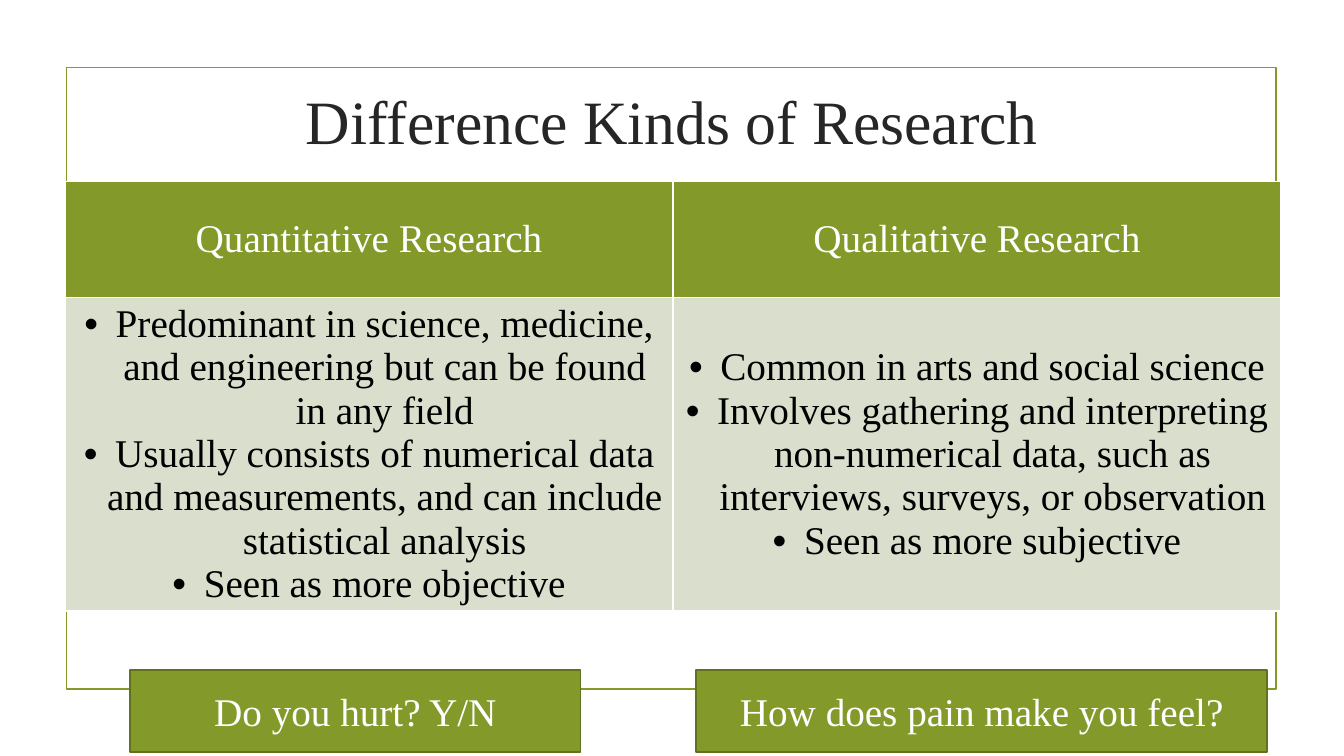
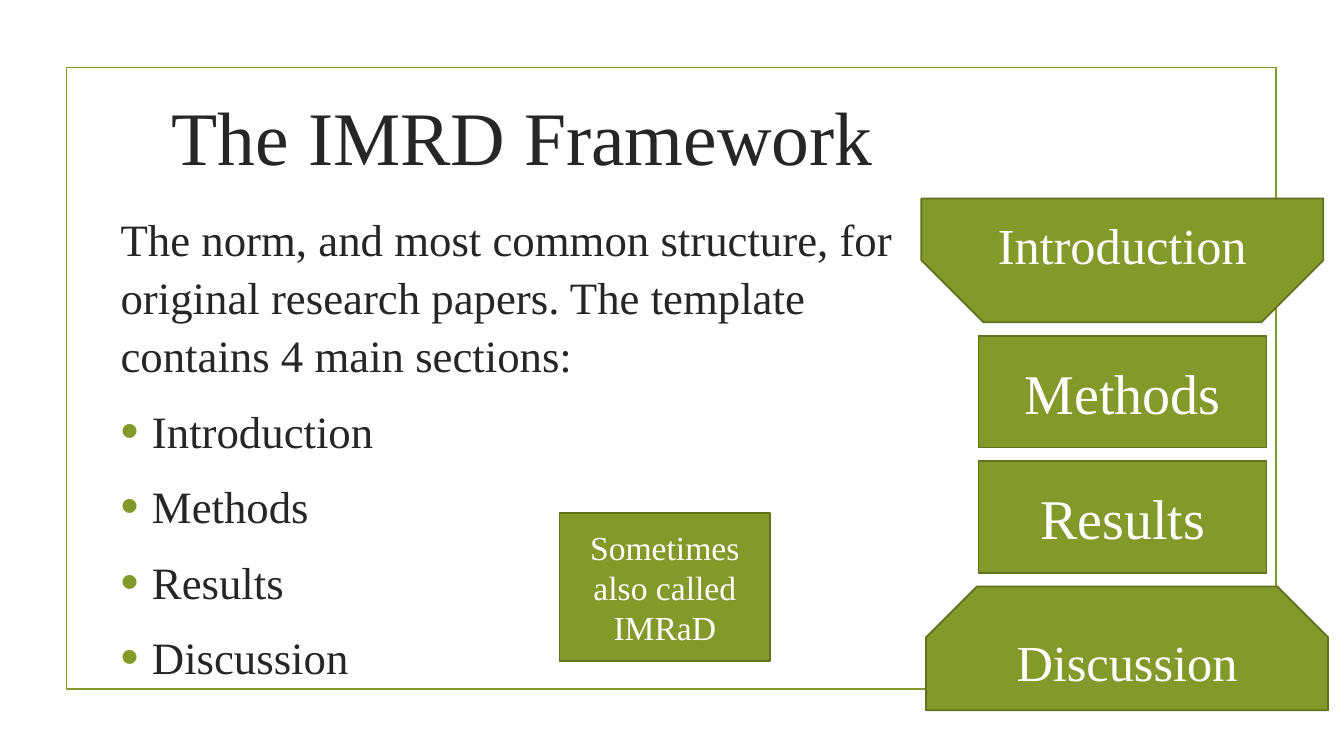
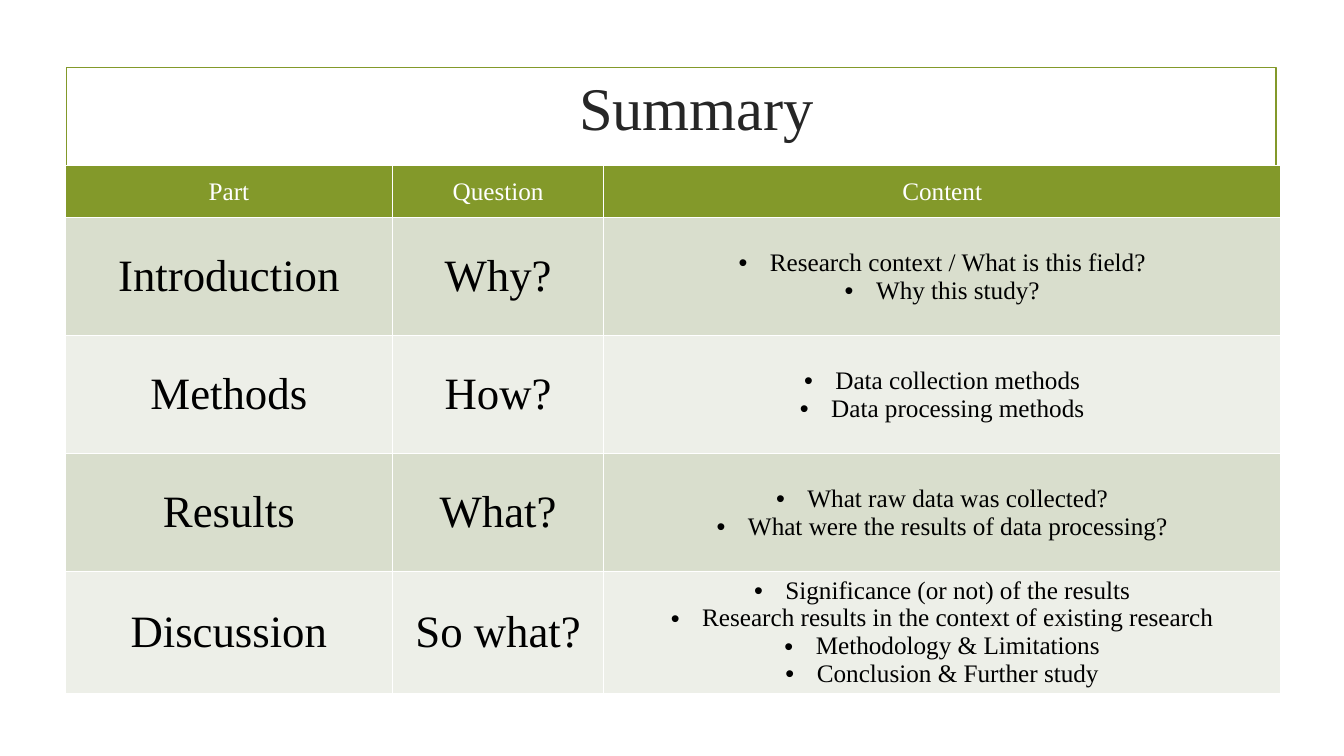
"""Build three slides on kinds of research and the IMRD framework."""
from lxml import etree
from pptx import Presentation
from pptx.dml.color import RGBColor
from pptx.enum import shapes, text
from pptx.oxml import ns
from pptx.util import Cm, Pt

GREEN = RGBColor(0x83, 0x99, 0x2A)
DARK_GREEN = RGBColor(0x61, 0x71, 0x1F)
BAND = RGBColor(0xD9, 0xDE, 0xCD)
LIGHT_BAND = RGBColor(0xED, 0xEF, 0xE8)
INK = RGBColor(0x26, 0x26, 0x26)
BLACK = RGBColor(0, 0, 0)
WHITE = RGBColor(0xFF, 0xFF, 0xFF)
FONT = "Times New Roman"
INDENT = Cm(0.79)
RECT = shapes.MSO_SHAPE.RECTANGLE
SNIPPED = shapes.MSO_SHAPE.SNIP_2_SAME_RECTANGLE
CENTER = text.PP_ALIGN.CENTER
MIDDLE = text.MSO_ANCHOR.MIDDLE


def set_all(obj, values):
    """Set attributes of an object from a dict."""
    for name, value in values.items():
        setattr(obj, name, value)


def add_xml(parent, tag, **attrs):
    """Append a DrawingML element and return it."""
    return etree.SubElement(parent, ns.qn(tag), attrs)


def place(sp, box):
    """Move and size a shape, with the box in centimetres."""
    names = ("left", "top", "width", "height")
    set_all(sp, dict(zip(names, map(Cm, box))))


def write(p, words, size, color, **layout):
    """Write one run in a paragraph with its paragraph format."""
    set_all(p, layout)
    r = p.add_run()
    r.text = words
    set_all(r.font, {"name": FONT, "size": Pt(size), "bold": False})
    r.font.color.rgb = color


def add_bullet(p, color=None, percent=100):
    """Give a paragraph a hanging round bullet."""
    pPr = p._p.get_or_add_pPr()
    pPr.set("marL", str(INDENT))
    pPr.set("indent", str(-INDENT))
    if color is not None:
        add_xml(add_xml(pPr, "a:buClr"), "a:srgbClr", val=str(color))
    add_xml(pPr, "a:buSzPct", val=str(percent * 1000))
    add_xml(pPr, "a:buFont", typeface="Arial")
    add_xml(pPr, "a:buChar", char="•")


def paragraphs(tf, count):
    """Return the given number of paragraphs of an empty text frame."""
    return [tf.paragraphs[0]] + [tf.add_paragraph() for _ in range(count - 1)]


def add_box(slide, box, words, size, kind=RECT, adjust=()):
    """Add a green shape with centred white text."""
    sp = slide.shapes.add_shape(kind, *map(Cm, box))
    sp.shadow.inherit = False
    for i, value in enumerate(adjust):
        sp.adjustments[i] = value
    sp.fill.solid()
    sp.fill.fore_color.rgb = GREEN
    sp.line.color.rgb = DARK_GREEN
    sp.line.width = Pt(1.25)
    set_all(sp.text_frame, {"word_wrap": True, "vertical_anchor": MIDDLE})
    write(sp.text_frame.paragraphs[0], words, size, WHITE, alignment=CENTER)


def add_frame(prs, slide):
    """Draw the thin green frame and move it to the slide master."""
    sp = slide.shapes.add_shape(RECT, Cm(1.68), Cm(1.7), Cm(30.48), Cm(15.67))
    sp.shadow.inherit = False
    sp.fill.background()
    sp.line.color.rgb = GREEN
    sp.line.width = Pt(1.25)
    prs.slide_master.placeholders[0].element.addprevious(sp.element)


def add_slide(prs, title, box, size):
    """Add a title-only slide with its formatted title."""
    slide = prs.slides.add_slide(prs.slide_layouts[5])
    sp = slide.shapes.title
    place(sp, box)
    set_all(sp.text_frame, {"word_wrap": True, "vertical_anchor": MIDDLE,
                            "auto_size": text.MSO_AUTO_SIZE.NONE})
    write(sp.text_frame.paragraphs[0], title, size, INK, alignment=CENTER)
    return slide


def fill_cell(cell, content, size, color, fill):
    """Fill a table cell with a text, or with a list as bullets."""
    tcPr = cell._tc.get_or_add_tcPr()
    for side in "LRTB":
        ln = add_xml(tcPr, f"a:ln{side}", w=str(Pt(1)))
        add_xml(add_xml(ln, "a:solidFill"), "a:srgbClr", val=str(WHITE))
    cell.fill.solid()
    cell.fill.fore_color.rgb = fill
    cell.vertical_anchor = MIDDLE
    bulleted = isinstance(content, list)
    items = content if bulleted else [content]
    for p, item in zip(paragraphs(cell.text_frame, len(items)), items):
        write(p, item, size, color, alignment=CENTER)
        if bulleted:
            add_bullet(p)


def add_grid(slide, top, widths, heights, rows, list_size, label_size):
    """Add a table with a green header and banded rows."""
    gf = slide.shapes.add_table(len(rows), len(widths), Cm(1.64), Cm(top),
                                Cm(sum(widths)), Cm(sum(heights)))
    table = gf.table
    set_all(table, {"first_row": False, "horz_banding": False})
    for column, width in zip(table.columns, widths):
        column.width = Cm(width)
    for i, (row, height) in enumerate(zip(rows, heights)):
        table.rows[i].height = Cm(height)
        fill = (BAND if i % 2 else LIGHT_BAND) if i else GREEN
        for j, content in enumerate(row):
            small = i == 0 or isinstance(content, list)
            fill_cell(table.cell(i, j), content,
                      list_size if small else label_size,
                      BLACK if i else WHITE, fill)


def build_kinds(prs):
    """Compare quantitative and qualitative research."""
    slide = add_slide(prs, "Difference Kinds of Research",
                      (3.61, 1.7, 26.67, 2.62), 44)
    add_frame(prs, slide)
    rows = [
        ["Quantitative Research", "Qualitative Research"],
        [["Predominant in science, medicine, and engineering but can be "
          "found in any field",
          "Usually consists of numerical data and measurements, and can "
          "include statistical analysis",
          "Seen as more objective"],
         ["Common in arts and social science",
          "Involves gathering and interpreting non-numerical data, such as "
          "interviews, surveys, or observation",
          "Seen as more subjective"]],
    ]
    add_grid(slide, 4.57, [15.32] * 2, [2.92, 7.9], rows, 28, 28)
    add_box(slide, (3.28, 16.89, 11.35, 2.06), "Do you hurt? Y/N", 28)
    add_box(slide, (17.55, 16.89, 14.38, 2.06),
            "How does pain make you feel?", 28)


def build_framework(prs):
    """List the four IMRD sections beside their hourglass."""
    slide = add_slide(prs, "The IMRD Framework", (3.12, 1.6, 20.09, 3.63), 54)
    sections = ["Introduction", "Methods", "Results", "Discussion"]
    lines = ["The norm, and most common structure, for original research "
             "papers. The template contains 4 main sections:"] + sections
    tf = slide.shapes.add_textbox(Cm(2.79), Cm(5.11), Cm(20.09),
                                  Cm(12.24)).text_frame
    tf.word_wrap = True
    for i, p in enumerate(paragraphs(tf, len(lines))):
        write(p, lines[i], 32, INK, line_spacing=1.08,
              space_before=Pt(6.4), space_after=Pt(6))
        if i:
            add_bullet(p, GREEN, 115)

    block = (24.66, 7.26, 2.82, 40, RECT, ())
    stack = [(23.22, 10.13, 3.12, 36, SNIPPED, (0, 0.5)), block, block,
             (23.34, 10.13, 3.12, 36, SNIPPED, (0.41, 0))]
    top, gap = 5, 0.34
    for words, (left, width, height, size, kind, adjust) in zip(sections,
                                                                stack):
        add_box(slide, (left, top, width, height), words, size, kind, adjust)
        top += height + gap
    add_box(slide, (14.1, 12.93, 5.31, 3.73), "Sometimes also called IMRaD",
            24)


def build_summary(prs):
    """Sum up each section's question and content."""
    slide = add_slide(prs, "Summary", (4.22, 1.63, 26.67, 2.11), 43.2)
    rows = [
        ["Part", "Question", "Content"],
        ["Introduction", "Why?",
         ["Research context / What is this field?", "Why this study?"]],
        ["Methods", "How?",
         ["Data collection methods", "Data processing methods"]],
        ["Results", "What?",
         ["What raw data was collected?",
          "What were the results of data processing?"]],
        ["Discussion", "So what?",
         ["Significance (or not) of the results",
          "Research results in the context of existing research",
          "Methodology & Limitations", "Conclusion & Further study"]],
    ]
    add_grid(slide, 4.17, [8.26, 5.31, 17.07], [1.32] + [2.97] * 3 + [3.07],
             rows, 18, 32)


def main():
    """Build and save the presentation."""
    prs = Presentation()
    set_all(prs, {"slide_width": Cm(33.87), "slide_height": Cm(19.05)})
    build_kinds(prs)
    build_framework(prs)
    build_summary(prs)
    prs.save("out.pptx")


if __name__ == "__main__":
    main()
